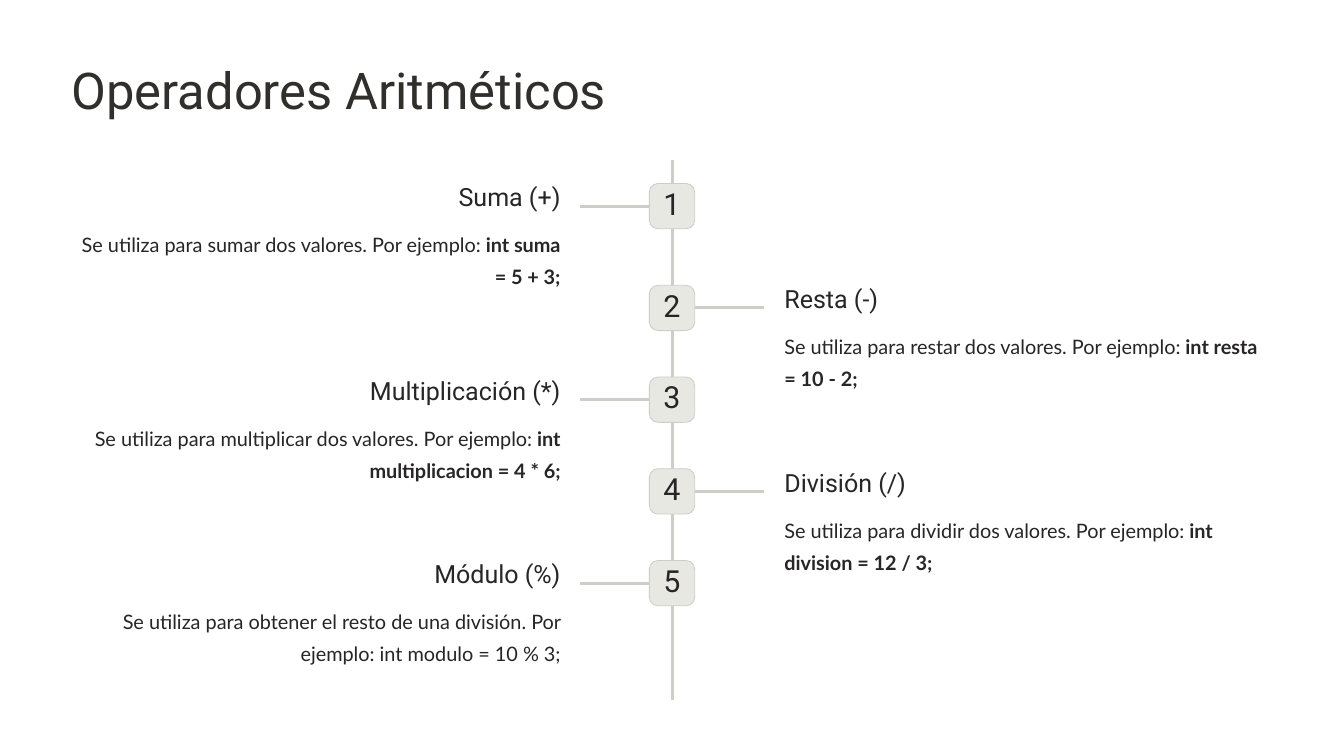
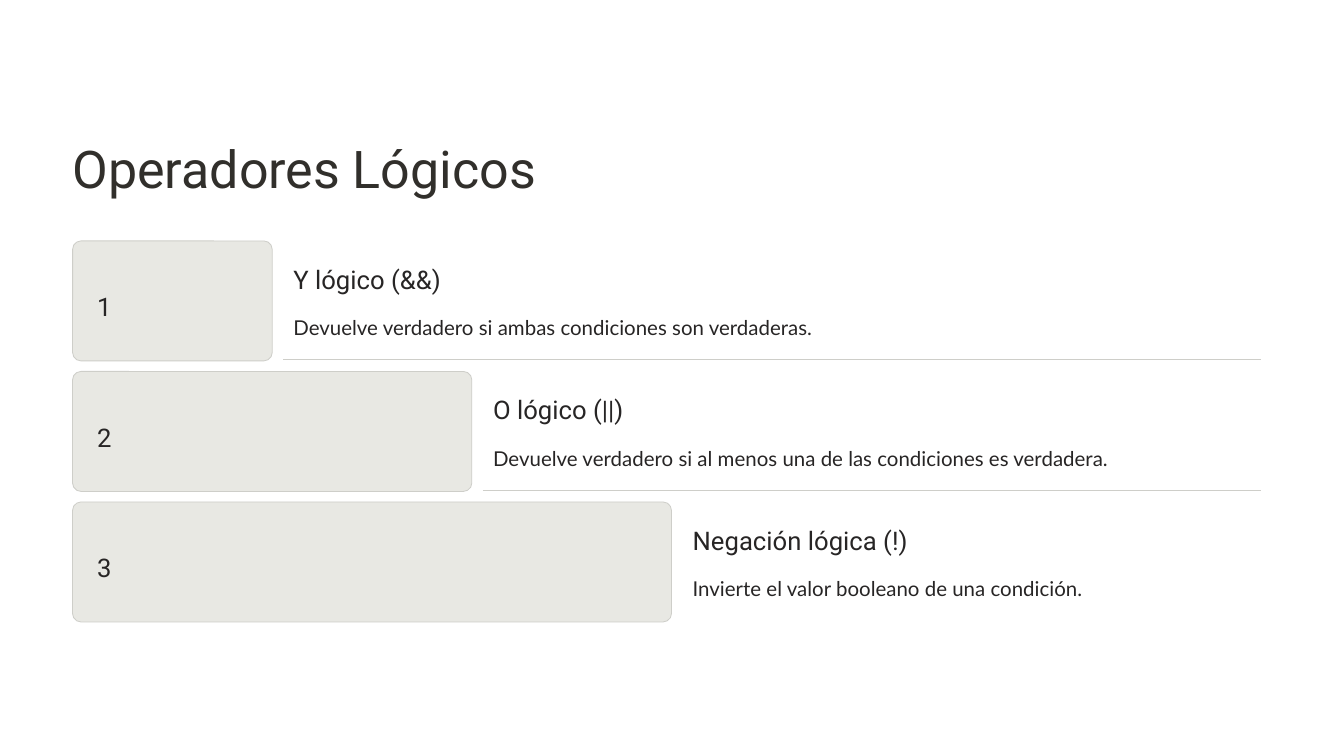
"""Build two slides on arithmetic and logical operators."""
from dataclasses import dataclass

from pptx import Presentation
from pptx.dml.color import RGBColor
from pptx.enum.shapes import MSO_CONNECTOR, MSO_SHAPE
from pptx.enum.text import MSO_ANCHOR, MSO_AUTO_SIZE, PP_ALIGN
from pptx.oxml.ns import qn
from pptx.util import Inches, Pt
from lxml.etree import SubElement


@dataclass(frozen=True)
class Style:
    font: str
    size: float
    lead: float
    color: RGBColor


@dataclass(frozen=True)
class Theme:
    ink = RGBColor(0x27, 0x25, 0x25)
    dark = RGBColor(0x31, 0x2F, 0x2B)
    fill = RGBColor(0xE8, 0xE8, 0xE3)
    line = RGBColor(0xCE, 0xCE, 0xC9)
    thick = 2.2
    thin = 0.9
    edge = 0.6
    title = Style("Roboto", 36.2, 45.4, dark)
    badge = Style("Roboto", 21.7, 21.7, ink)
    head = Style("Roboto", 17.9, 22.5, ink)
    body = Style("Lato", 14.2, 22.9, ink)
    big_title = Style("Roboto", 37.1, 46.2, dark)
    bar = Style("Roboto", 18.3, 29.6, ink)
    big_head = Style("Roboto", 18.3, 22.9, ink)
    big_body = Style("Lato", 14.6, 23.8, ink)


THEME = Theme()

MATH = [
    ("Suma (+)", "Se utiliza para sumar dos valores. Por ejemplo: ", "int suma = 5 + 3;"),
    ("Resta (-)", "Se utiliza para restar dos valores. Por ejemplo: ", "int resta = 10 - 2;"),
    ("Multiplicación (*)", "Se utiliza para multiplicar dos valores. Por ejemplo: ",
     "int multiplicacion = 4 * 6;"),
    ("División (/)", "Se utiliza para dividir dos valores. Por ejemplo: ",
     "int division = 12 / 3;"),
    ("Módulo (%)",
     "Se utiliza para obtener el resto de una división. Por ejemplo: int modulo = 10 % 3;", ""),
]

LOGIC = [
    ("Y lógico (&&)", "Devuelve verdadero si ambas condiciones son verdaderas."),
    ("O lógico (||)", "Devuelve verdadero si al menos una de las condiciones es verdadera."),
    ("Negación lógica (!)", "Invierte el valor booleano de una condición."),
]


def write(shape, text, style, align=PP_ALIGN.LEFT, anchor=MSO_ANCHOR.TOP, inset=0, bold=""):
    """Fill a shape with one styled paragraph, ending in an optional bold part."""
    frame = shape.text_frame
    frame.text = text
    frame.word_wrap = True
    frame.auto_size = MSO_AUTO_SIZE.NONE
    frame.vertical_anchor = anchor
    frame.margin_left = Inches(inset)
    frame.margin_right = frame.margin_top = frame.margin_bottom = 0
    para = frame.paragraphs[0]
    para.alignment = align
    para.line_spacing = Pt(style.lead)
    if bold:
        para.add_run().text = bold
        para.runs[-1].font.bold = True
    for run in para.runs:
        run.font.name = style.font
        run.font.size = Pt(style.size)
        run.font.color.rgb = style.color


def add_slide(deck, text, left, top, style):
    """Add a slide with its title placed and styled."""
    slide = deck.slides.add_slide(deck.slide_layouts[5])
    title = slide.shapes.title
    title.left, title.top = Inches(left), Inches(top)
    title.width, title.height = Inches(11.8), Inches(0.65)
    write(title, text, style)
    return slide


def add_text(slide, text, left, top, width, height, style, **format):
    """Add a text box."""
    box = slide.shapes.add_textbox(Inches(left), Inches(top), Inches(width), Inches(height))
    write(box, text, style, **format)


def add_line(slide, x1, y1, x2, y2, weight):
    """Add a straight line without shadow."""
    line = slide.shapes.add_connector(
        MSO_CONNECTOR.STRAIGHT, Inches(x1), Inches(y1), Inches(x2), Inches(y2))
    line.line.color.rgb = THEME.line
    line.line.width = Pt(weight)
    SubElement(line._element.spPr, qn("a:effectLst"))
    return line


def add_card(slide, number, left, top, width, height, round, style, **format):
    """Add a rounded card that holds a number."""
    card = slide.shapes.add_shape(
        MSO_SHAPE.ROUNDED_RECTANGLE, Inches(left), Inches(top), Inches(width), Inches(height))
    card.adjustments[0] = round
    card.shadow.inherit = False
    card.fill.solid()
    card.fill.fore_color.rgb = THEME.fill
    card.line.color.rgb = THEME.line
    card.line.width = Pt(THEME.edge)
    write(card, str(number), style, anchor=MSO_ANCHOR.MIDDLE, **format)
    return card


def add_step(slide, index, head, body, code):
    """Add one numbered step, on the left or right of the spine in turn."""
    left, side, arm = 6.44, 0.45, 0.69
    top = 1.82 + 0.91 * index + (0.1 if index else 0)
    mid = top + side / 2
    card = add_card(slide, index + 1, left, top, side, side, 0.19, THEME.badge,
                    align=PP_ALIGN.CENTER)
    if index % 2:
        edge, tip, text_x, site, align = left + side, left + side + arm, 7.78, 3, PP_ALIGN.LEFT
    else:
        edge, tip, text_x, site, align = left, left - arm, 0.71, 1, PP_ALIGN.RIGHT
    add_line(slide, edge, mid, tip, mid, THEME.thick).begin_connect(card, site)
    add_text(slide, head, text_x, top - 0.03, 4.85, 0.32, THEME.head, align=align)
    add_text(slide, body, text_x, top + 0.41, 4.85, 0.65, THEME.body, align=align, bold=code)


def add_row(slide, index, head, body, last):
    """Add one row of the stair, with a rule below unless it is the last."""
    left, right, height = 0.72, 12.51, 1.19
    top = 2.39 + 2.59 / 2 * index
    width = 1.98 * (index + 1)
    end = left + width
    text_x = end + 0.21
    add_card(slide, index + 1, left, top, width, height, 0.07, THEME.bar, inset=0.22)
    add_text(slide, head, text_x, top + 0.21, right - text_x, 0.32, THEME.big_head)
    add_text(slide, body, text_x, top + 0.65, right - text_x, 0.33, THEME.big_body)
    if not last:
        add_line(slide, end + 0.11, top + 1.18, right, top + 1.18, THEME.thin)


def main():
    """Build and save the deck."""
    deck = Presentation()
    deck.slide_width, deck.slide_height = Inches(13.33), Inches(7.5)

    slide = add_slide(deck, "Operadores Aritméticos", 0.71, 0.56, THEME.title)
    add_line(slide, 6.67, 1.59, 6.67, 6.94, THEME.thick)
    for index, step in enumerate(MATH):
        add_step(slide, index, *step)

    slide = add_slide(deck, "Operadores Lógicos", 0.72, 1.33, THEME.big_title)
    for index, row in enumerate(LOGIC):
        add_row(slide, index, *row, last=index == len(LOGIC) - 1)

    deck.save("out.pptx")


if __name__ == "__main__":
    main()
